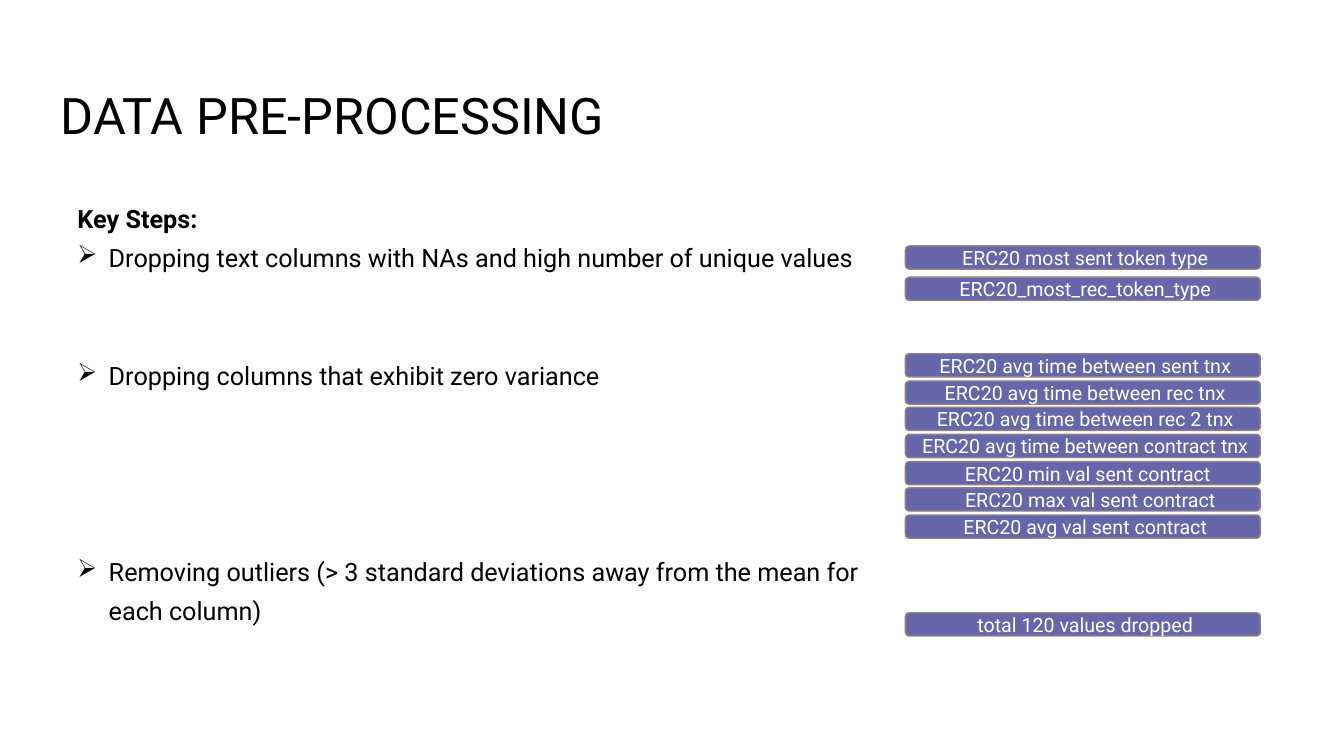
from dataclasses import dataclass

from lxml import etree
from pptx import Presentation
from pptx import util as u
from pptx.dml.color import RGBColor
from pptx.enum import shapes, text
from pptx.oxml.ns import qn

PX = 9144  # EMU per px, 100 px to the inch
FONT = "Roboto"
COLORS = {"ink": "000000", "tag": "6667AB", "edge": "928082", "light": "FFFFFF"}
LEAD = 28  # line pitch of the step list, points
TAG_X, TAG_W, TAG_H, PAD = 898, 352, 23, 5


@dataclass
class Step:
    label: str
    gap: int = 0  # free lines above


@dataclass
class Tag:
    label: str
    nudge: int = 5  # px added to the left inset


@dataclass
class Stack:
    first: int  # top of the first tag
    last: int  # top of the last tag
    tags: list[Tag]


STEPS = [
    Step("Dropping text columns with NAs and high number of unique values"),
    Step("Dropping columns that exhibit zero variance", 2),
    Step("Removing outliers (> 3 standard deviations away from the mean "
         "for each column)", 4),
]
STACKS = [
    Stack(244, 275, [
        Tag("ERC20 most sent token type"),
        Tag("ERC20_most_rec_token_type"),
    ]),
    Stack(351, 511, [
        Tag("ERC20 avg time between sent tnx"),
        Tag("ERC20 avg time between rec tnx"),
        Tag("ERC20 avg time between rec 2 tnx"),
        Tag("ERC20 avg time between contract tnx"),
        Tag("ERC20 min val sent contract", 10),
        Tag("ERC20 max val sent contract", 15),
        Tag("ERC20 avg val sent contract"),
    ]),
    Stack(608, 608, [Tag("total 120 values dropped")]),
]


def box(*px: int) -> list[u.Emu]:
    return [u.Emu(n * PX) for n in px]


def color(name: str) -> RGBColor:
    return RGBColor.from_string(COLORS[name])


def style(para, size: int, hue: str, bold: bool = False) -> None:
    for run in para.runs:
        font = run.font
        font.name, font.size, font.bold = FONT, u.Pt(size), bold
        font.color.rgb = color(hue)


def add_bullet(para) -> None:
    props = para._p.get_or_add_pPr()
    props.set("marL", str(31 * PX))
    props.set("indent", str(-31 * PX))
    etree.SubElement(props, qn("a:buChar")).set("char", "➢")


def set_title(slide) -> None:
    title = slide.shapes.title
    title.left, title.top, title.width, title.height = box(50, 68, 1222, 99)
    frame = title.text_frame
    frame.text = "DATA PRE-PROCESSING"
    frame.auto_size = text.MSO_AUTO_SIZE.NONE
    frame.vertical_anchor = text.MSO_ANCHOR.MIDDLE
    para = frame.paragraphs[0]
    para.alignment = text.PP_ALIGN.LEFT
    para.line_spacing = 0.9
    style(para, 36, "ink")


def add_steps(slide) -> None:
    frame = slide.shapes.add_textbox(*box(67, 188, 822, 459)).text_frame
    frame.word_wrap = True
    head = frame.paragraphs[0]
    head.text = "Key Steps:"
    head.line_spacing = u.Pt(LEAD)
    style(head, 18, "ink", bold=True)
    for step in STEPS:
        para = frame.add_paragraph()
        para.text = step.label
        para.line_spacing = u.Pt(LEAD)
        para.space_before = u.Pt(step.gap * LEAD)
        add_bullet(para)
        style(para, 18, "ink")


def add_tag(slide, tag: Tag, top: int) -> None:
    shape = slide.shapes.add_shape(
        shapes.MSO_SHAPE.ROUNDED_RECTANGLE, *box(TAG_X, top, TAG_W, TAG_H))
    shape.shadow.inherit = False
    shape.fill.solid()
    shape.fill.fore_color.rgb = color("tag")
    shape.line.color.rgb = color("edge")
    shape.line.width = u.Pt(1)
    frame = shape.text_frame
    frame.text = tag.label
    frame.word_wrap = True
    frame.vertical_anchor = text.MSO_ANCHOR.MIDDLE
    frame.margin_left, frame.margin_right = box(PAD + tag.nudge, PAD)
    para = frame.paragraphs[0]
    para.alignment = text.PP_ALIGN.CENTER
    style(para, 14, "light")


def add_stack(slide, stack: Stack) -> None:
    pitch = (stack.last - stack.first) / max(len(stack.tags) - 1, 1)
    for i, tag in enumerate(stack.tags):
        add_tag(slide, tag, round(stack.first + i * pitch))


def main() -> None:
    deck = Presentation()
    deck.slide_width, deck.slide_height = box(1333, 750)
    slide = deck.slides.add_slide(deck.slide_layouts.get_by_name("Title Only"))
    set_title(slide)
    add_steps(slide)
    for stack in STACKS:
        add_stack(slide, stack)
    deck.save("out.pptx")


if __name__ == "__main__":
    main()
